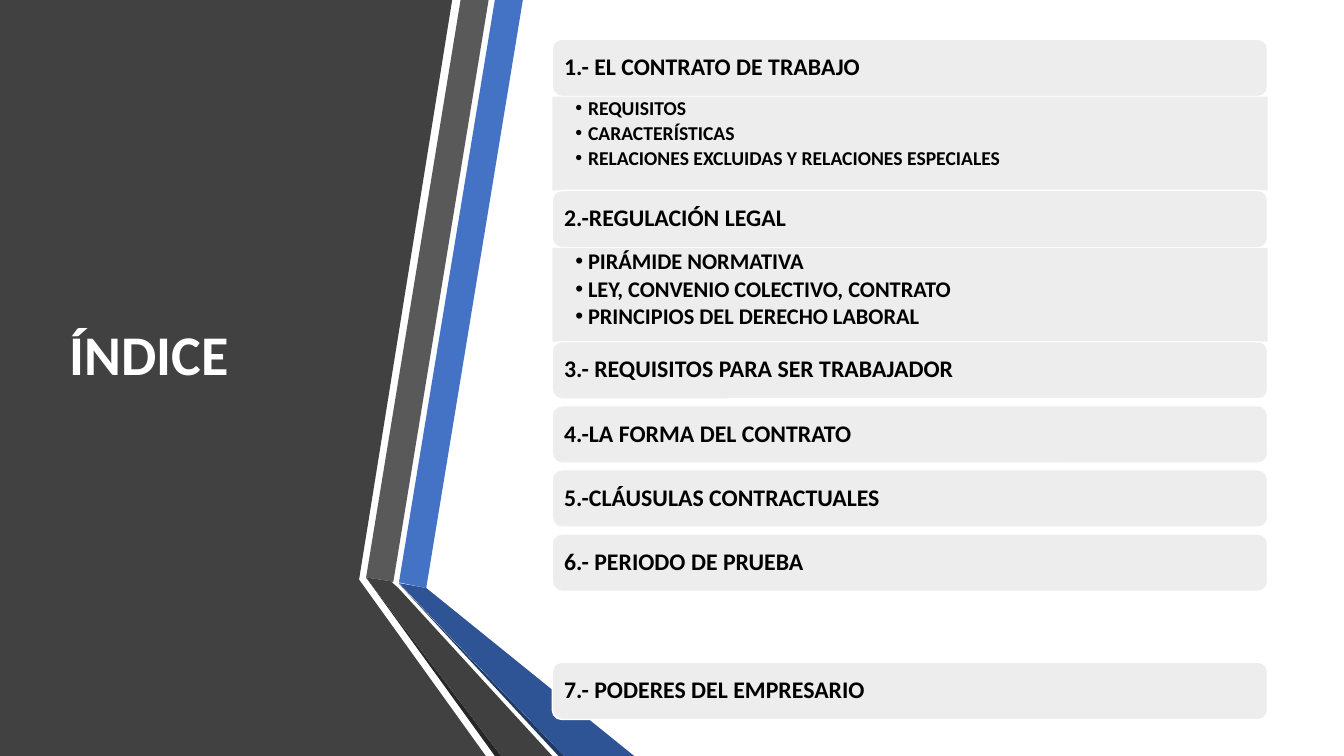
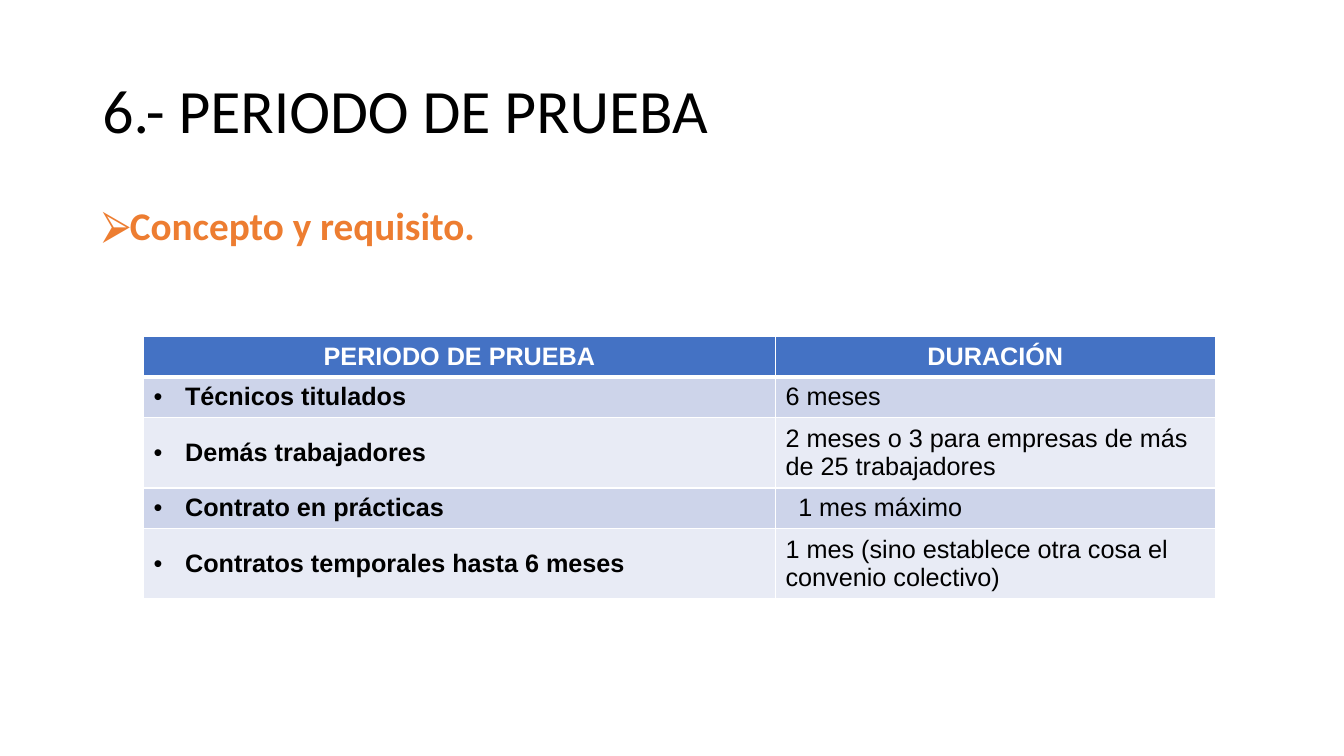
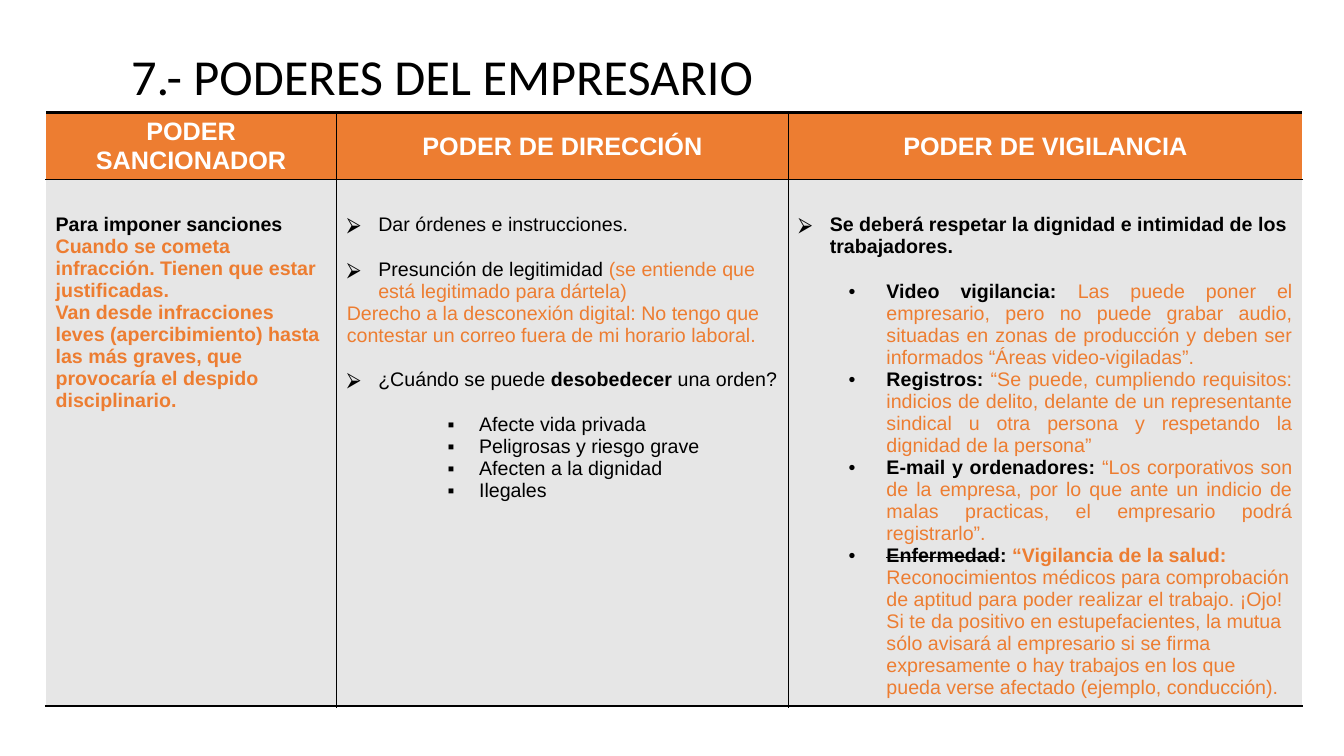
from dataclasses import dataclass

from lxml.etree import SubElement
from pptx import Presentation
from pptx.dml.color import RGBColor
from pptx.enum.shapes import MSO_SHAPE
from pptx.enum.text import MSO_ANCHOR, MSO_AUTO_SIZE, PP_ALIGN
from pptx.oxml.ns import qn
from pptx.util import Pt

COLORS = {
    "black": "000000",
    "white": "FFFFFF",
    "panel": "414141",
    "blue": "4472C4",
    "deep blue": "2F5496",
    "navy": "1F3864",
    "gray": "595959",
    "dark gray": "404040",
    "charcoal": "262626",
    "bar": "EDEDED",
    "orange": "ED7D31",
    "band": "CDD4EA",
    "light band": "E8EBF5",
    "powers": "E6E6E6",
}
HEADING_FONT = "Calibri"
TABLE_FONT = "Arial"
ARROW, DOT, SQUARE = "⮚", "•", "▪"

RIBBONS = [
    ("panel", [(0, 0), (323, 0), (256.5, 414), (347, 540), (0, 540)]),
    ("blue", [(285, 416), (304.5, 420), (373.5, 0), (353.5, 0)]),
    ("gray", [(349, 0), (329, 0), (261.5, 412.5), (281, 415.5)]),
    ("charcoal", [(261.5, 412.5), (353.5, 540), (358, 540)]),
    ("navy", [(285, 417), (399, 540), (403, 540)]),
    ("deep blue", [(285, 416.5), (403, 540), (453, 540), (304.5, 420)]),
    ("dark gray", [(394.5, 540), (284.5, 420), (280, 416), (281, 415.5),
                   (261.5, 412.5), (358, 540)]),
]


@dataclass
class Piece:
    """A stretch of text with one look."""
    text: str
    color: str = "black"
    bold: bool = False
    strike: bool = False


@dataclass
class Line:
    """A paragraph with its pieces, bullet and layout."""
    pieces: list
    bullet: str = ""
    margin: float = 0
    indent: float = 0
    level: int = 0
    align: PP_ALIGN = PP_ALIGN.LEFT
    before: float = 0
    spacing: float = 1


def rgb(name):
    """Return the named colour."""
    return RGBColor.from_string(COLORS[name])


def paint(shape, fill, line=None):
    """Give a shape a flat fill and an optional outline."""
    shape.shadow.inherit = False
    shape.fill.solid()
    shape.fill.fore_color.rgb = rgb(fill)
    if line:
        shape.line.color.rgb = rgb(line)
        shape.line.width = Pt(1)
    else:
        shape.line.fill.background()


def add_bullet(paragraph, mark, color):
    """Put a coloured bullet before a paragraph."""
    properties = paragraph._p.get_or_add_pPr()
    tint = SubElement(properties, qn("a:buClr"))
    SubElement(tint, qn("a:srgbClr"), val=COLORS[color])
    SubElement(properties, qn("a:buFont"), typeface=TABLE_FONT)
    SubElement(properties, qn("a:buChar"), char=mark)


def write(frame, lines, size, font):
    """Fill a text frame with formatted lines."""
    for number, line in enumerate(lines):
        paragraph = frame.add_paragraph() if number else frame.paragraphs[0]
        paragraph.alignment = line.align
        paragraph.level = line.level
        paragraph.line_spacing = line.spacing
        paragraph.space_before = Pt(line.before)
        properties = paragraph._p.get_or_add_pPr()
        properties.set("marL", str(Pt(line.margin)))
        properties.set("indent", str(Pt(line.indent)))
        if line.bullet:
            add_bullet(paragraph, line.bullet, line.pieces[0].color)
        for piece in line.pieces:
            run = paragraph.add_run()
            run.text = piece.text
            run.font.name = font
            run.font.size = Pt(size)
            run.font.bold = piece.bold
            run.font.color.rgb = rgb(piece.color)
            if piece.strike:
                run.font._element.set("strike", "sngStrike")


def set_insets(frame, left, top, right, bottom):
    """Set the four inner margins of a text frame or cell."""
    frame.margin_left, frame.margin_top = Pt(left), Pt(top)
    frame.margin_right, frame.margin_bottom = Pt(right), Pt(bottom)


def add_titled_slide(deck, title, box, size, color="black", bold=False):
    """Add a slide and place its title."""
    slide = deck.slides.add_slide(deck.slide_layouts[5])
    heading = slide.shapes.title
    heading.left, heading.top, heading.width, heading.height = map(Pt, box)
    frame = heading.text_frame
    frame.word_wrap = True
    frame.auto_size = MSO_AUTO_SIZE.NONE
    frame.vertical_anchor = MSO_ANCHOR.MIDDLE
    write(frame, [Line([Piece(title, color, bold)], spacing=0.9)], size, HEADING_FONT)
    return slide


def add_ribbon(slide, color, corners):
    """Draw one flat polygon of the side decoration."""
    points = [(Pt(x), Pt(y)) for x, y in corners]
    builder = slide.shapes.build_freeform(*points[0])
    builder.add_line_segments(points[1:], close=True)
    paint(builder.convert_to_shape(), color)


def add_bar(slide, kind, top, height, insets, line=None):
    """Add one gray bar of the index and return its text frame."""
    bar = slide.shapes.add_shape(kind, Pt(394.5), Pt(top), Pt(511), Pt(height))
    paint(bar, "bar", line)
    frame = bar.text_frame
    frame.word_wrap = True
    set_insets(frame, *insets)
    return frame


def add_index(slide, sections):
    """Stack section bars, each with its details or a gap below."""
    top, bar_height, detail_height, slot = 28, 41, 67, 45.8
    for heading, details, size, slots in sections:
        frame = add_bar(slide, MSO_SHAPE.ROUNDED_RECTANGLE, top, bar_height,
                        (6.5, 5, 5, 5), "white")
        frame.vertical_anchor = MSO_ANCHOR.MIDDLE
        write(frame, [Line([Piece(heading, bold=True)], spacing=0.9)], 17, HEADING_FONT)
        if details:
            frame = add_bar(slide, MSO_SHAPE.RECTANGLE, top + bar_height,
                            detail_height, (16.5, 1.5, 9.5, 1.5))
            frame.vertical_anchor = MSO_ANCHOR.TOP
            write(frame, [Line([Piece(detail, bold=True)], DOT, 9, -9, 1,
                               before=2.6 if number else 0, spacing=0.9)
                          for number, detail in enumerate(details)], size, HEADING_FONT)
            top += bar_height + detail_height
        else:
            top += slot * slots


def set_borders(cell, edges, color):
    """Draw the given edges of a cell, widths in points."""
    properties = cell._tc.get_or_add_tcPr()
    for side in "LRTB":
        if side in edges:
            edge = SubElement(properties, qn(f"a:ln{side}"), w=str(Pt(edges[side])))
            fill = SubElement(edge, qn("a:solidFill"))
            SubElement(fill, qn("a:srgbClr"), val=COLORS[color])


def add_grid(slide, corner, widths, heights, headers, rows, fills, edges,
             edge_color, size, anchor, top_inset=3.6):
    """Add a table with a header row and body rows of lines."""
    grid = slide.shapes.add_table(len(heights), len(widths), *map(Pt, corner),
                                  Pt(sum(widths)), Pt(sum(heights))).table
    grid.horz_banding = False
    for column, width in zip(grid.columns, widths):
        column.width = Pt(width)
    for row, height in zip(grid.rows, heights):
        row.height = Pt(height)
    header = [[Line([Piece(text, "white", True)], align=PP_ALIGN.CENTER)]
              for text in headers]
    for r, row in enumerate([header] + rows):
        for c, lines in enumerate(row):
            cell = grid.cell(r, c)
            set_borders(cell, edges(r, c), edge_color)
            cell.fill.solid()
            cell.fill.fore_color.rgb = rgb(fills[r])
            set_insets(cell, 7.2, top_inset if r else 3.6, 7.2, 3.6)
            cell.vertical_anchor = anchor if r else MSO_ANCHOR.MIDDLE
            write(cell.text_frame, lines, size if r else 18, TABLE_FONT)


def build_index(deck):
    """Build the index slide."""
    slide = add_titled_slide(deck, "ÍNDICE", (42.5, 54, 219, 402), 40, "white", True)
    for color, corners in RIBBONS:
        add_ribbon(slide, color, corners)
    heading = slide.shapes.title.element
    heading.getparent().append(heading)
    add_index(slide, [
        ("1.- EL CONTRATO DE TRABAJO",
         ["REQUISITOS", "CARACTERÍSTICAS",
          "RELACIONES EXCLUIDAS Y RELACIONES ESPECIALES"], 14, 0),
        ("2.-REGULACIÓN LEGAL",
         ["PIRÁMIDE NORMATIVA", "LEY, CONVENIO COLECTIVO, CONTRATO",
          "PRINCIPIOS DEL DERECHO LABORAL"], 16, 0),
        ("3.- REQUISITOS PARA SER TRABAJADOR", [], 0, 1),
        ("4.-LA FORMA DEL CONTRATO", [], 0, 1),
        ("5.-CLÁUSULAS CONTRACTUALES", [], 0, 1),
        ("6.- PERIODO DE PRUEBA", [], 0, 2),
        ("7.- PODERES DEL EMPRESARIO", [], 0, 1),
    ])


def trial_edges(row, column):
    """Return thin edges with a heavy rule under the header."""
    return {"L": 1, "R": 1, "T": 3 if row == 1 else 1, "B": 1 if row else 3}


def build_trial_period(deck):
    """Build the trial period slide."""
    slide = add_titled_slide(deck, "6.- PERIODO DE PRUEBA", (66, 29, 828, 104), 44)
    concept = slide.shapes.add_textbox(Pt(66), Pt(144), Pt(828), Pt(60)).text_frame
    concept.word_wrap = True
    write(concept, [Line([Piece("Concepto y requisito.", "orange", True)],
                         ARROW, 18, -18, spacing=0.9)], 28, HEADING_FONT)
    periods = [
        ("Técnicos titulados", "6 meses", 0, 0),
        ("Demás trabajadores", "2 meses o 3 para empresas de más de 25 trabajadores", 0, 0),
        ("Contrato en prácticas", "1 mes máximo", 22.5, -13.5),
        ("Contratos temporales hasta 6 meses",
         "1 mes (sino establece otra cosa el convenio colectivo)", 0, 0),
    ]
    rows = [[[Line([Piece(worker, bold=True)], DOT, 22.5, -22.5)],
             [Line([Piece(duration)], margin=margin, indent=indent)]]
            for worker, duration, margin, indent in periods]
    add_grid(slide, (102.5, 240.5), [451.5, 314], [28, 28, 48, 28, 48],
             ["PERIODO DE PRUEBA", "DURACIÓN"], rows,
             ["blue"] + ["band", "light band"] * 2, trial_edges, "white", 18,
             MSO_ANCHOR.MIDDLE)


def power_edges(row, column):
    """Return the rules between cells, open at both sides."""
    edges = {"T": 1 if row else 2, "B": 2 if row else 1}
    if column > 0:
        edges["L"] = 1
    if column < 2:
        edges["R"] = 1
    return edges


def arrow_line(*pieces, before=16):
    """Return a line led by an arrow."""
    return Line(list(pieces), ARROW, 22.5, -22.5, before=before)


def watch_line(*pieces, align=PP_ALIGN.JUSTIFY, before=0):
    """Return an indented line on one kind of surveillance."""
    return Line(list(pieces), DOT, 63, -27, 1, align, before)


def build_powers(deck):
    """Build the employer powers slide."""
    slide = add_titled_slide(deck, "7.- PODERES DEL EMPRESARIO", (86.5, 22, 792, 68.5), 36)
    sanction = [
        Line([Piece("Para imponer sanciones", bold=True)]),
        Line([Piece("Cuando se cometa infracción. Tienen que estar justificadas.",
                    "orange", True)]),
        Line([Piece("Van desde infracciones leves (apercibimiento) hasta las más graves, "
                    "que provocaría el despido disciplinario.", "orange", True)]),
    ]
    refusals = ["Afecte vida privada", "Peligrosas y riesgo grave",
                "Afecten a la dignidad", "Ilegales"]
    direction = [
        arrow_line(Piece("Dar órdenes e instrucciones."), before=0),
        arrow_line(Piece("Presunción de legitimidad "),
                   Piece("(se entiende que está legitimado para dártela)", "orange")),
        Line([Piece("Derecho a la desconexión digital: No tengo que contestar un correo "
                    "fuera de mi horario laboral.", "orange")]),
        arrow_line(Piece("¿Cuándo se puede "), Piece("desobedecer", bold=True),
                   Piece(" una orden?")),
    ] + [Line([Piece(refusal)], SQUARE, 94.5, -22.5, 2, before=0 if number else 16)
         for number, refusal in enumerate(refusals)]
    surveillance = [
        arrow_line(Piece("Se deberá respetar la dignidad e intimidad de los trabajadores.",
                         bold=True), before=0),
        watch_line(Piece("Video vigilancia: ", bold=True),
                   Piece("Las puede poner el empresario, pero no puede grabar audio, "
                         "situadas en zonas de producción y deben ser informados "
                         "“Áreas video-vigiladas”.", "orange"), before=16),
        watch_line(Piece("Registros: ", bold=True),
                   Piece("“Se puede, cumpliendo requisitos: indicios de delito, delante de "
                         "un representante sindical u otra persona y respetando la dignidad "
                         "de la persona”", "orange")),
        watch_line(Piece("E-mail y ordenadores: ", bold=True),
                   Piece("“Los corporativos son de la empresa, por lo que ante un indicio de "
                         "malas practicas, el empresario podrá registrarlo”.", "orange")),
        watch_line(Piece("Enfermedad", bold=True, strike=True), Piece(": ", bold=True),
                   Piece("“Vigilancia de la salud: ", "orange", True),
                   Piece("Reconocimientos médicos para comprobación de aptitud para poder "
                         "realizar el trabajo. ¡Ojo! Si te da positivo en estupefacientes, "
                         "la mutua sólo avisará al empresario si se firma expresamente o "
                         "hay trabajos en los que pueda verse afectado (ejemplo, "
                         "conducción).", "orange"), align=PP_ALIGN.LEFT),
    ]
    add_grid(slide, (32.5, 80.5), [208, 322.5, 367.5], [48, 376],
             ["PODER SANCIONADOR", "PODER DE DIRECCIÓN", "PODER DE VIGILANCIA"],
             [[sanction, direction, surveillance]], ["orange", "powers"],
             power_edges, "black", 14, MSO_ANCHOR.TOP, 24.3)


def main():
    """Build and save the deck."""
    deck = Presentation()
    deck.slide_width, deck.slide_height = Pt(960), Pt(540)
    build_index(deck)
    build_trial_period(deck)
    build_powers(deck)
    deck.save("out.pptx")


if __name__ == "__main__":
    main()
